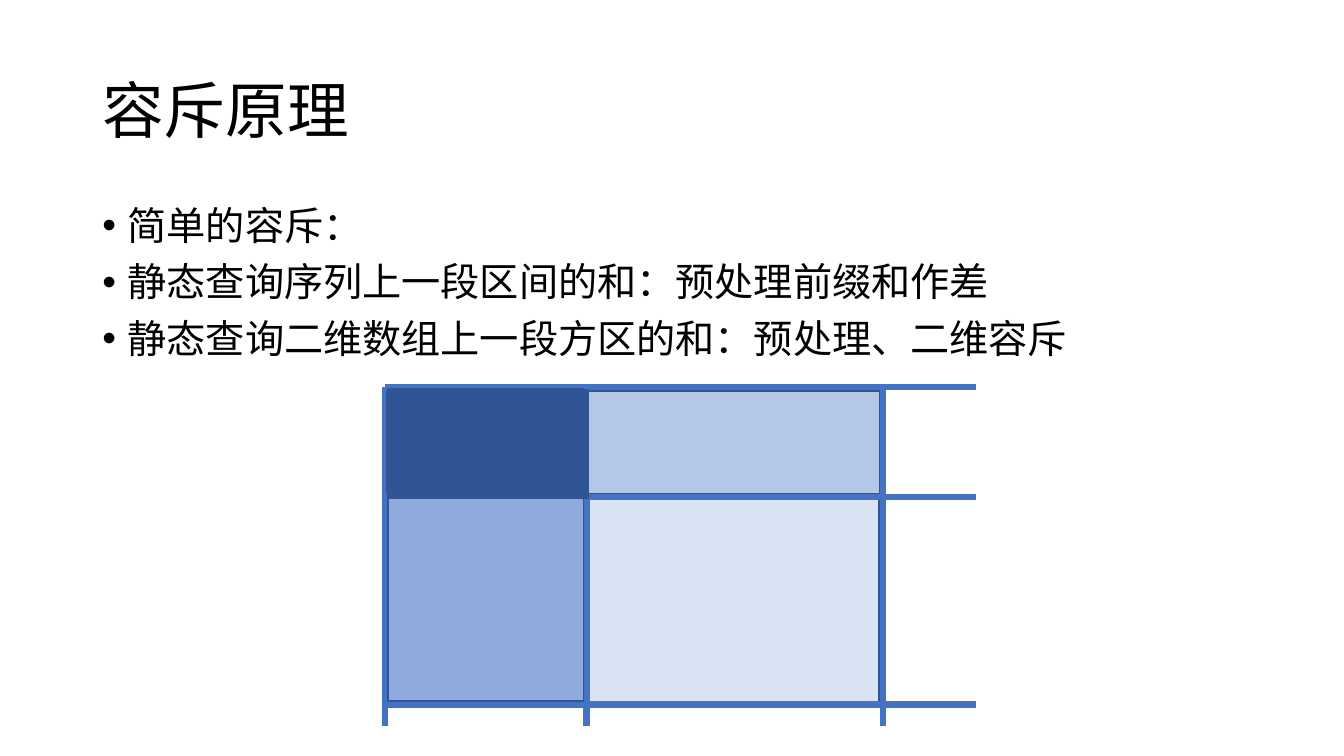
from dataclasses import dataclass

from lxml.etree import SubElement
from pptx import Presentation
from pptx.dml.color import RGBColor
from pptx.enum.shapes import MSO_CONNECTOR, MSO_SHAPE
from pptx.enum.text import MSO_ANCHOR
from pptx.oxml.ns import qn
from pptx.slide import Slide
from pptx.text.text import _Paragraph as Paragraph
from pptx.util import Cm, Pt

FONT = "Noto Sans CJK SC"
BLACK = RGBColor(0x00, 0x00, 0x00)
GRID_BLUE = RGBColor(0x44, 0x72, 0xC4)
BORDER_BLUE = RGBColor(0x32, 0x54, 0x91)
WHOLE_BLUE = RGBColor(0xDA, 0xE3, 0xF3)
TOP_BLUE = RGBColor(0xB4, 0xC7, 0xE7)
LEFT_BLUE = RGBColor(0x8F, 0xAA, 0xDC)
CORNER_BLUE = RGBColor(0x2F, 0x55, 0x97)

GRID_XS = (9.7, 14.78, 22.25)
GRID_YS = (9.75, 12.52, 17.75)
GRID_RIGHT, GRID_BOTTOM = 24.59, 18.29


@dataclass(frozen=True)
class Region:
    """A prefix area of the array, in centimetres."""
    left: float
    top: float
    width: float
    height: float
    color: RGBColor


WHOLE = Region(9.75, 9.83, 12.4, 7.9, WHOLE_BLUE)
OVERLAYS = (
    Region(9.75, 9.86, 12.42, 2.57, TOP_BLUE),
    Region(9.78, 9.8, 4.93, 7.87, LEFT_BLUE),
    Region(9.78, 9.83, 5.05, 2.72, CORNER_BLUE),
)


@dataclass(frozen=True)
class TextBlock:
    top: float
    height: float
    size: int
    anchor: MSO_ANCHOR
    lines: tuple[str, ...]
    bulleted: bool


TEXT_BLOCKS = (
    TextBlock(1.02, 3.68, 44, MSO_ANCHOR.MIDDLE, ("容斥原理",), False),
    TextBlock(5.08, 12.09, 28, MSO_ANCHOR.TOP, (
        "简单的容斥：",
        "静态查询序列上一段区间的和：预处理前缀和作差",
        "静态查询二维数组上一段方区的和：预处理、二维容斥",
    ), True),
)


def add_bullet(paragraph: Paragraph) -> None:
    paragraph.space_before = Pt(10)
    properties = paragraph._p.get_or_add_pPr()
    indent = Cm(0.64)
    properties.set("marL", str(indent))
    properties.set("indent", str(-indent))
    SubElement(properties, qn("a:buFont"), typeface="Arial")
    SubElement(properties, qn("a:buChar"), char="•")


def add_text(slide: Slide, block: TextBlock) -> None:
    box = slide.shapes.add_textbox(Cm(2.33), Cm(block.top), Cm(29.21), Cm(block.height))
    text_frame = box.text_frame
    text_frame.word_wrap = True
    text_frame.vertical_anchor = block.anchor
    text_frame.text = "\n".join(block.lines)
    for paragraph in text_frame.paragraphs:
        paragraph.line_spacing = 0.9
        if block.bulleted:
            add_bullet(paragraph)
        for run in paragraph.runs:
            run.font.size = Pt(block.size)
            run.font.name = FONT
            run.font.color.rgb = BLACK
            SubElement(run._r.get_or_add_rPr(), qn("a:ea"), typeface=FONT)


def add_region(slide: Slide, region: Region) -> None:
    shape = slide.shapes.add_shape(
        MSO_SHAPE.RECTANGLE,
        Cm(region.left), Cm(region.top), Cm(region.width), Cm(region.height),
    )
    shape.shadow.inherit = False
    shape.fill.solid()
    shape.fill.fore_color.rgb = region.color
    shape.line.color.rgb = BORDER_BLUE
    shape.line.width = Pt(1)


def add_grid_line(slide: Slide, x1: float, y1: float, x2: float, y2: float) -> None:
    connector = slide.shapes.add_connector(
        MSO_CONNECTOR.STRAIGHT, Cm(x1), Cm(y1), Cm(x2), Cm(y2)
    )
    connector.line.color.rgb = GRID_BLUE
    connector.line.width = Pt(4.5)
    SubElement(connector._element.spPr, qn("a:effectLst"))


def main() -> None:
    presentation = Presentation()
    presentation.slide_width = Cm(33.87)
    presentation.slide_height = Cm(19.05)
    slide = presentation.slides.add_slide(presentation.slide_layouts[6])

    add_region(slide, WHOLE)
    for block in TEXT_BLOCKS:
        add_text(slide, block)
    for x, y in zip(GRID_XS, GRID_YS):
        add_grid_line(slide, GRID_XS[0], y, GRID_RIGHT, y)
        add_grid_line(slide, x, GRID_YS[0], x, GRID_BOTTOM)
    for region in OVERLAYS:
        add_region(slide, region)

    presentation.save("out.pptx")


if __name__ == "__main__":
    main()
